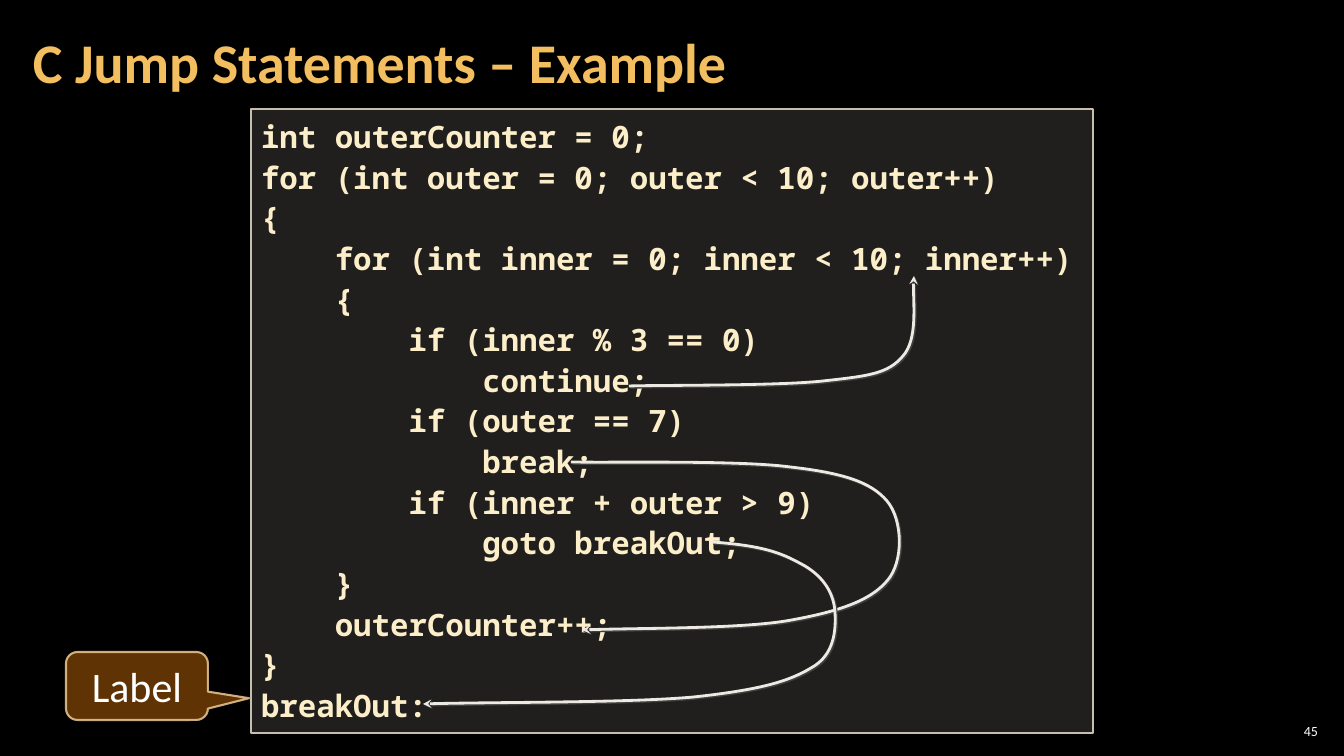
"""Build the slide that traces continue, break and goto through nested C loops."""
from lxml import etree
from pptx import Presentation, util as u
from pptx.dml.color import RGBColor
from pptx.enum import shapes, text
from pptx.oxml import ns

SCALE = 12192000 / 1344
BLACK = RGBColor(0x00, 0x00, 0x00)
WHITE = RGBColor(0xFF, 0xFF, 0xFF)
GOLD = RGBColor(0xF3, 0xBE, 0x60)
CREAM = RGBColor(0xFB, 0xEE, 0xC9)
PANEL = RGBColor(0xD9, 0xD5, 0xC7)
PANEL_EDGE = RGBColor(0xC7, 0xBF, 0xAC)
BROWN = RGBColor(0x66, 0x36, 0x06)
BROWN_EDGE = RGBColor(0xF8, 0xD4, 0x9E)
ARROW = RGBColor(0xEC, 0xEA, 0xE3)
ARROW_SHADOW = RGBColor(0x40, 0x40, 0x40)

TITLE = "C Jump Statements – Example"
CODE = """int outerCounter = 0;
for (int outer = 0; outer < 10; outer++)
{
    for (int inner = 0; inner < 10; inner++)
    {
        if (inner % 3 == 0)
            continue;
        if (outer == 7)
            break;
        if (inner + outer > 9)
            goto breakOut;
    }
    outerCounter++;
}
breakOut:"""
JUMPS = {
    "continue": [(629, 386),
                 (661, 385), (777, 386), (823, 381),
                 (868, 376), (888, 374), (903, 356),
                 (918, 339), (912, 293), (914, 276)],
    "break": [(571, 462),
              (608, 463), (738, 460), (790, 467),
              (843, 473), (871, 482), (887, 501),
              (903, 520), (904, 562), (887, 581),
              (870, 601), (838, 612), (786, 621),
              (736, 629), (625, 628), (582, 630)],
    "goto": [(712, 542),
             (769, 546), (785, 555), (805, 566),
             (825, 578), (834, 595), (835, 612),
             (836, 629), (835, 655), (811, 668),
             (788, 682), (758, 690), (694, 697),
             (629, 703), (480, 702), (423, 704)],
}


def px(*lengths):
    return [u.Emu(round(length * SCALE)) for length in lengths]


def add_element(parent, tag, **attributes):
    element = etree.SubElement(parent, ns.qn(tag))
    for name, value in attributes.items():
        element.set(name, str(value))
    return element


def set_alpha(fill_parent, percent):
    color = fill_parent.find(".//" + ns.qn("a:srgbClr"))
    add_element(color, "a:alpha", val=percent * 1000)


def write(shape, content, *, font, size, color, bold=False, spacing=1.0,
          align=text.PP_ALIGN.LEFT, anchor=text.MSO_ANCHOR.MIDDLE, insets=(10, 5)):
    frame = shape.text_frame
    frame.word_wrap = True
    frame.vertical_anchor = anchor
    frame.margin_left, frame.margin_top = px(*insets)
    frame.margin_right, frame.margin_bottom = px(*insets)
    for index, line in enumerate(content.split("\n")):
        para = frame.paragraphs[0] if index == 0 else frame.add_paragraph()
        para.alignment = align
        para.line_spacing = spacing
        span = para.add_run()
        span.text = line
        span.font.name = font
        span.font.size = u.Pt(size)
        span.font.bold = bold
        span.font.color.rgb = color


def add_panel(page, kind, bounds, fill, alpha, edge, width):
    shape = page.shapes.add_shape(kind, *px(*bounds))
    shape.shadow.inherit = False
    shape.fill.solid()
    shape.fill.fore_color.rgb = fill
    set_alpha(shape._element.spPr.find(ns.qn("a:solidFill")), alpha)
    shape.line.color.rgb = edge
    shape.line.width = u.Pt(width)
    return shape


def add_jump(page, points):
    builder = page.shapes.build_freeform(*points[0], scale=SCALE)
    builder.add_line_segments(points[1:], close=False)
    arrow = builder.convert_to_shape()
    arrow.fill.background()
    arrow.line.color.rgb = ARROW
    arrow.line.width = u.Pt(2)
    properties = arrow._element.spPr
    outline = properties.find(".//" + ns.qn("a:path"))
    steps = outline.findall(ns.qn("a:lnTo"))
    for start in range(0, len(steps), 3):
        curve = add_element(outline, "a:cubicBezTo")
        for step in steps[start:start + 3]:
            curve.append(step[0])
            outline.remove(step)
    add_element(properties.find(ns.qn("a:ln")), "a:tailEnd", type="stealth")
    arrow.shadow.inherit = False
    effects = properties.find(ns.qn("a:effectLst"))
    shadow = add_element(effects, "a:outerShdw", dist=u.Pt(1.4), dir=45 * 60000)
    add_element(shadow, "a:srgbClr", val=ARROW_SHADOW)


def main():
    deck = Presentation()
    deck.slide_width, deck.slide_height = px(1344, 756)
    page = deck.slides.add_slide(deck.slide_layouts[6])
    page.background.fill.solid()
    page.background.fill.fore_color.rgb = BLACK

    title = page.shapes.add_textbox(*px(21, 4, 1055, 122))
    write(title, TITLE, font="Calibri", size=40, color=GOLD, bold=True,
          spacing=0.9, insets=(12, 4))

    kinds = shapes.MSO_SHAPE
    listing = add_panel(page, kinds.RECTANGLE, (251, 109, 842, 624),
                        PANEL, 15, PANEL_EDGE, 1)
    write(listing, CODE, font="Noto Sans Mono", size=22, color=CREAM, bold=True,
          spacing=1.1, anchor=text.MSO_ANCHOR.TOP)

    for points in JUMPS.values():
        add_jump(page, points)

    label = add_panel(page, kinds.ROUNDED_RECTANGULAR_CALLOUT, (66, 652, 142, 68),
                      BROWN, 95, BROWN_EDGE, 1.5)
    set_alpha(label._element.spPr.find(ns.qn("a:ln")), 80)
    for index, value in enumerate((0.79, 0.18, 0.17)):
        label.adjustments[index] = value
    write(label, "Label", font="Calibri", size=30, color=WHITE,
          align=text.PP_ALIGN.CENTER)

    number = page.shapes.add_textbox(*px(1275, 720, 47, 21))
    write(number, "45", font="Calibri", size=10, color=WHITE,
          align=text.PP_ALIGN.RIGHT, insets=(4, 4))
    deck.save("out.pptx")


if __name__ == "__main__":
    main()
